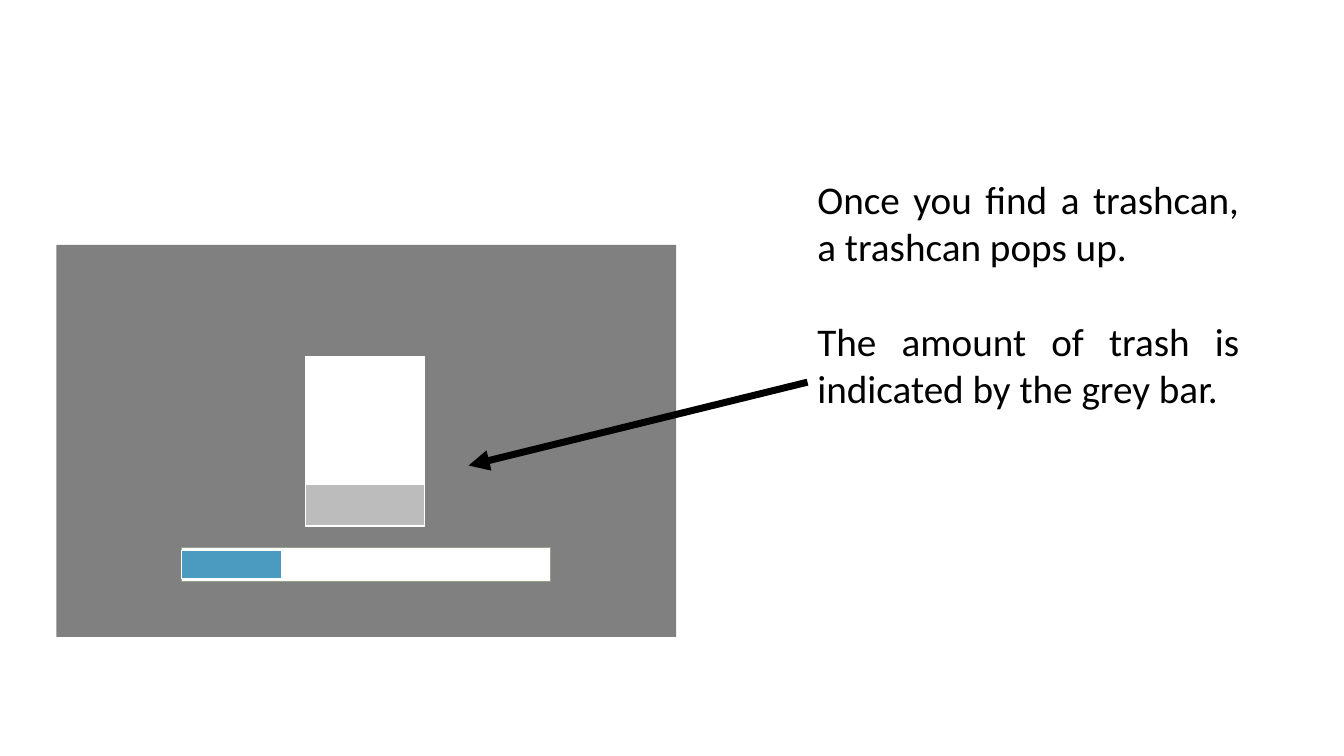
import dataclasses

import pptx
import pptx.dml.color
import pptx.enum.shapes
import pptx.enum.text
import pptx.oxml
import pptx.oxml.ns
import pptx.util

Cm = pptx.util.Cm
Pt = pptx.util.Pt


@dataclasses.dataclass(frozen=True)
class Theme:
    font: str = "Calibri"
    text_size: int = 28
    paragraph_gap: int = 34
    ink: str = "000000"
    screen: str = "808080"
    white: str = "FFFFFF"
    trash: str = "BCBCBC"
    progress: str = "4B9BC1"
    progress_edge: str = "94A088"
    edge_width: int = 1
    arrow_width: int = 5


THEME = Theme()


def rgb(value):
    return pptx.dml.color.RGBColor.from_string(value)


def apply_format(target, values):
    for attribute, value in values.items():
        setattr(target, attribute, value)


def add_bar(group, left, top, width, height, fill, edge=None):
    bar = group.shapes.add_shape(
        pptx.enum.shapes.MSO_SHAPE.RECTANGLE, Cm(left), Cm(top), Cm(width), Cm(height)
    )
    bar.shadow.inherit = False
    bar.fill.solid()
    bar.fill.fore_color.rgb = rgb(fill)
    if edge:
        bar.line.color.rgb = rgb(edge)
        bar.line.width = Pt(THEME.edge_width)
    else:
        bar.line.fill.background()


def add_game_screen(slide):
    screen = slide.shapes.add_group_shape()
    add_bar(screen, 1.42, 6.17, 15.62, 9.88, THEME.screen)

    left, top, width, height = 7.7, 8.99, 3, 4.27
    trash_height = height / 4
    add_bar(screen, left, top, width, height, THEME.white, THEME.white)
    add_bar(screen, left, top + height - trash_height, width, trash_height,
            THEME.trash, THEME.white)

    add_bar(screen, 4.57, 13.79, 9.3, 0.86, THEME.white, THEME.progress_edge)
    add_bar(screen, 4.57, 13.87, 2.54, 0.71, THEME.progress, THEME.white)


def add_explanation(slide, sentences):
    explanation = slide.shapes.add_textbox(Cm(20.35), Cm(4.29), Cm(11.13), Cm(6.25))
    frame = explanation.text_frame
    apply_format(frame, {
        "word_wrap": True,
        "auto_size": pptx.enum.text.MSO_AUTO_SIZE.SHAPE_TO_FIT_TEXT,
        "text": "\n".join(sentences),
    })
    for index, sentence in enumerate(frame.paragraphs):
        apply_format(sentence, {
            "alignment": pptx.enum.text.PP_ALIGN.JUSTIFY,
            "space_before": Pt(THEME.paragraph_gap if index else 0),
        })
        apply_format(sentence.font, {"name": THEME.font, "size": Pt(THEME.text_size)})
        sentence.font.color.rgb = rgb(THEME.ink)


def add_arrow(slide, start, end):
    arrow = slide.shapes.add_connector(
        pptx.enum.shapes.MSO_CONNECTOR.STRAIGHT, *map(Cm, start + end)
    )
    arrow.line.color.rgb = rgb(THEME.ink)
    arrow.line.width = Pt(THEME.arrow_width)
    namespace = pptx.oxml.ns.nsdecls("a")
    arrow.line._get_or_add_ln().append(
        pptx.oxml.parse_xml(f'<a:tailEnd {namespace} type="triangle"/>')
    )
    arrow._element.spPr.append(pptx.oxml.parse_xml(f"<a:effectLst {namespace}/>"))


def main():
    deck = pptx.Presentation()
    apply_format(deck, {"slide_width": Cm(33.87), "slide_height": Cm(19.05)})
    slide = deck.slides.add_slide(deck.slide_layouts[6])
    add_explanation(slide, [
        "Once you find a trashcan, a trashcan pops up.",
        "The amount of trash is indicated by the grey bar.",
    ])
    add_game_screen(slide)
    add_arrow(slide, (20.35, 9.63), (11.81, 11.73))
    deck.save("out.pptx")


if __name__ == "__main__":
    main()
